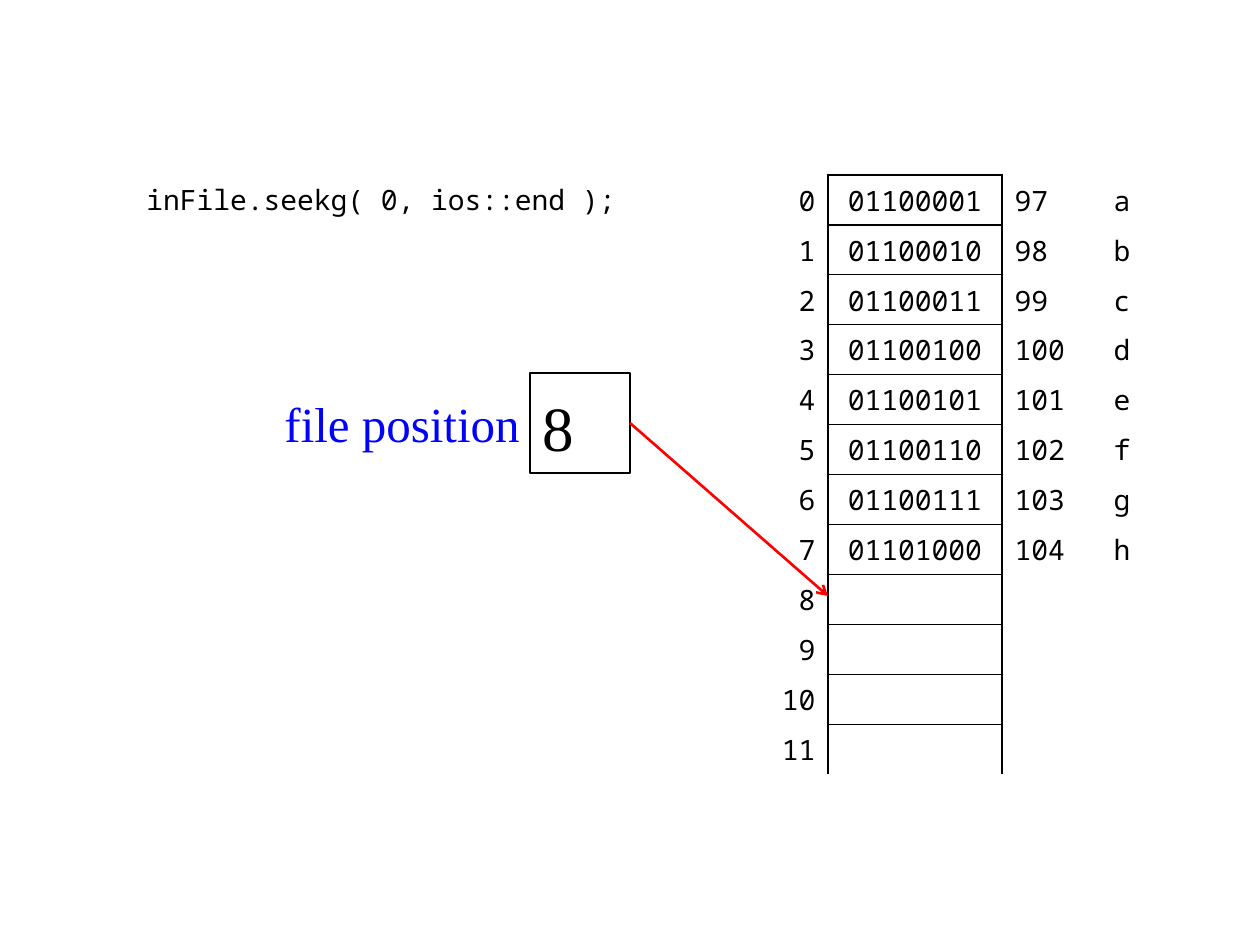
from lxml import etree
from pptx import Presentation
from pptx.dml.color import RGBColor
from pptx.enum.shapes import MSO_CONNECTOR, MSO_SHAPE
from pptx.enum.text import MSO_ANCHOR, PP_ALIGN
from pptx.oxml.ns import qn
from pptx.util import Emu, Pt

LEFT, CENTER, RIGHT = PP_ALIGN.LEFT, PP_ALIGN.CENTER, PP_ALIGN.RIGHT
MIDDLE = MSO_ANCHOR.MIDDLE
RECTANGLE = MSO_SHAPE.RECTANGLE
STRAIGHT = MSO_CONNECTOR.STRAIGHT
RIGHT_SIDE = 3

MONO, SERIF = "Noto Sans Mono", "Times New Roman"
BLACK, WHITE, BLUE, RED = "000000", "FFFFFF", "0000FF", "FF0000"
THICK, THIN = 1.5, 0.75

LETTERS = "abcdefgh"
ROW_COUNT = 12
ROW_HEIGHT = 50
COLUMN_WIDTHS = [75, 174, 99, 49]
COLUMN_ALIGNMENTS = [RIGHT, CENTER, LEFT, LEFT]


def px(length):
    """Turn px into EMU at 126 px to the inch."""
    return Emu(round(length * 914400 / 126))


def color(value):
    return RGBColor.from_string(value)


def memory_row(index):
    """Address, bits, code and letter of one byte; only the address past the end."""
    if index >= len(LETTERS):
        return [str(index), "", "", ""]
    letter = LETTERS[index]
    return [str(index), f"{ord(letter):08b}", str(ord(letter)), letter]


def cell_borders(row, column):
    """Widths of the drawn edges of a cell."""
    if column == 0:
        return {"R": THICK}
    if column == 2:
        return {"L": THICK}
    if column == 3:
        return {}
    borders = {"L": THICK, "R": THICK, "T": THIN if row else THICK}
    if row < ROW_COUNT - 1:
        borders["B"] = THIN
    return borders


class SlideBuilder:
    def __init__(self, slide):
        self.slide = slide

    def set_text(self, text_frame, text, size, font, text_color, alignment=LEFT):
        text_frame.text = text
        paragraph = text_frame.paragraphs[0]
        paragraph.alignment = alignment
        for run in paragraph.runs:
            run.font.size = Pt(size)
            run.font.name = font
            run.font.color.rgb = color(text_color)

    def text(self, left, top, width, height, text, size, font, text_color, alignment=LEFT):
        shape = self.slide.shapes.add_textbox(px(left), px(top), px(width), px(height))
        shape.text_frame.word_wrap = True
        shape.text_frame.vertical_anchor = MIDDLE
        self.set_text(shape.text_frame, text, size, font, text_color, alignment)

    def box(self, left, top, width, height, text):
        shape = self.slide.shapes.add_shape(RECTANGLE, px(left), px(top), px(width), px(height))
        shape.shadow.inherit = False
        shape.fill.background()
        shape.line.color.rgb = color(BLACK)
        shape.line.width = Pt(THICK)
        text_frame = shape.text_frame
        text_frame.vertical_anchor = MIDDLE
        text_frame.margin_top, text_frame.margin_bottom = px(8), px(2)
        self.set_text(text_frame, text, 36, SERIF, BLACK)
        return shape

    def border(self, cell, widths):
        """Draw the given edges of a cell and clear the others."""
        properties = cell._tc.get_or_add_tcPr()
        for side in "LRTB":
            edge = etree.SubElement(properties, qn(f"a:ln{side}"))
            if side in widths:
                edge.set("w", str(Pt(widths[side])))
                fill = etree.SubElement(edge, qn("a:solidFill"))
                etree.SubElement(fill, qn("a:srgbClr")).set("val", BLACK)
            else:
                etree.SubElement(edge, qn("a:noFill"))

    def memory_table(self, left, top):
        frame = self.slide.shapes.add_table(
            ROW_COUNT, len(COLUMN_WIDTHS), px(left), px(top),
            px(sum(COLUMN_WIDTHS)), px(ROW_HEIGHT * ROW_COUNT))
        table = frame.table
        table.first_row = table.horz_banding = False
        for column, width in zip(table.columns, COLUMN_WIDTHS):
            column.width = px(width)
        for row in range(ROW_COUNT):
            for column, text in enumerate(memory_row(row)):
                cell = table.cell(row, column)
                self.border(cell, cell_borders(row, column))
                cell.fill.solid()
                cell.fill.fore_color.rgb = color(WHITE)
                cell.vertical_anchor = MIDDLE
                if text:
                    self.set_text(cell.text_frame, text, 16, MONO, BLACK, COLUMN_ALIGNMENTS[column])
                else:
                    cell.margin_top = cell.margin_bottom = 0

    def arrow(self, source, left, top):
        """Point from the right side of a box to the given place."""
        connector = self.slide.shapes.add_connector(STRAIGHT, 0, 0, px(left), px(top))
        connector.begin_connect(source, RIGHT_SIDE)
        connector.line.color.rgb = color(RED)
        connector.line.width = Pt(THICK)
        line = connector._element.spPr.find(qn("a:ln"))
        etree.SubElement(line, qn("a:tailEnd")).set("type", "arrow")
        etree.SubElement(connector._element.spPr, qn("a:effectLst"))


def main():
    presentation = Presentation()
    presentation.slide_width, presentation.slide_height = px(1260), px(945)
    builder = SlideBuilder(presentation.slides.add_slide(presentation.slide_layouts[6]))

    builder.text(134, 175, 520, 49, "inFile.seekg( 0, ios::end );", 16, MONO, BLACK)
    builder.text(110, 373, 422, 100, "file position", 28, SERIF, BLUE, RIGHT)
    builder.memory_table(753, 175)
    position_box = builder.box(530, 373, 100, 100, "8")
    builder.arrow(position_box, 828, 596)

    presentation.save("out.pptx")


if __name__ == "__main__":
    main()
